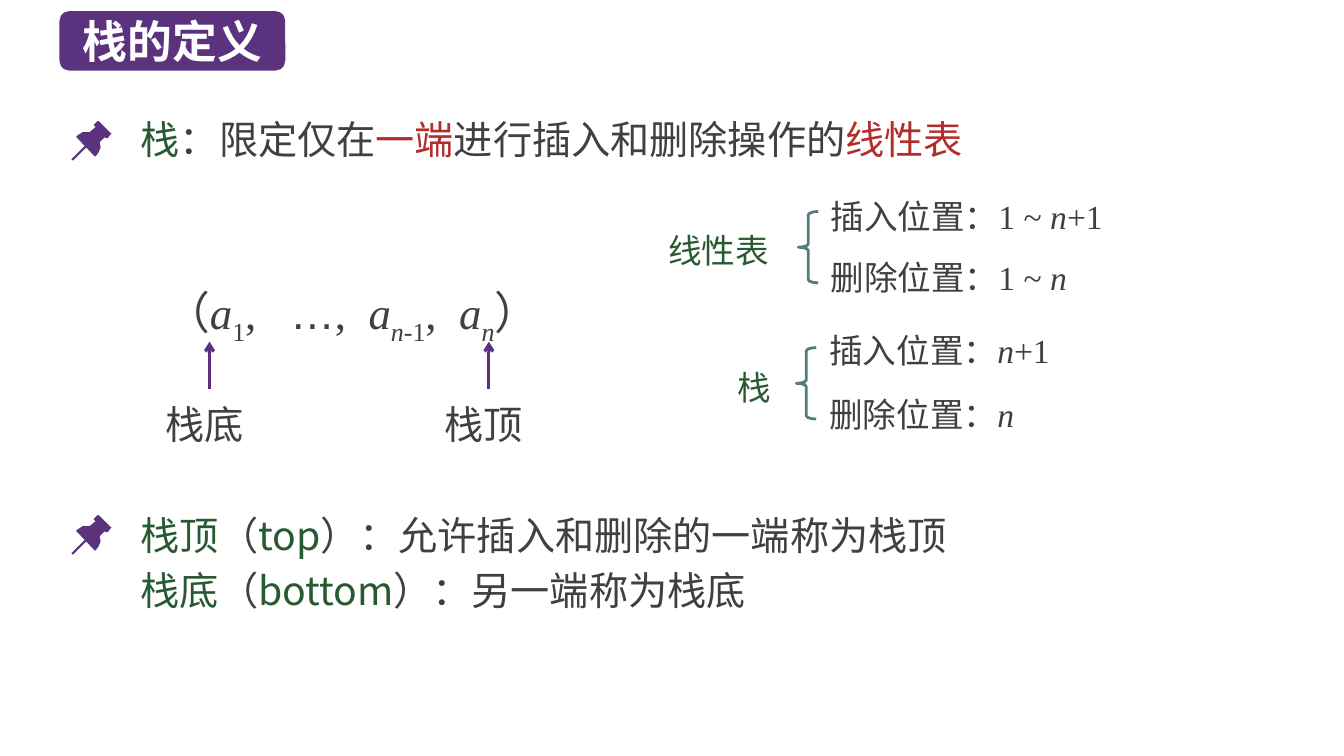
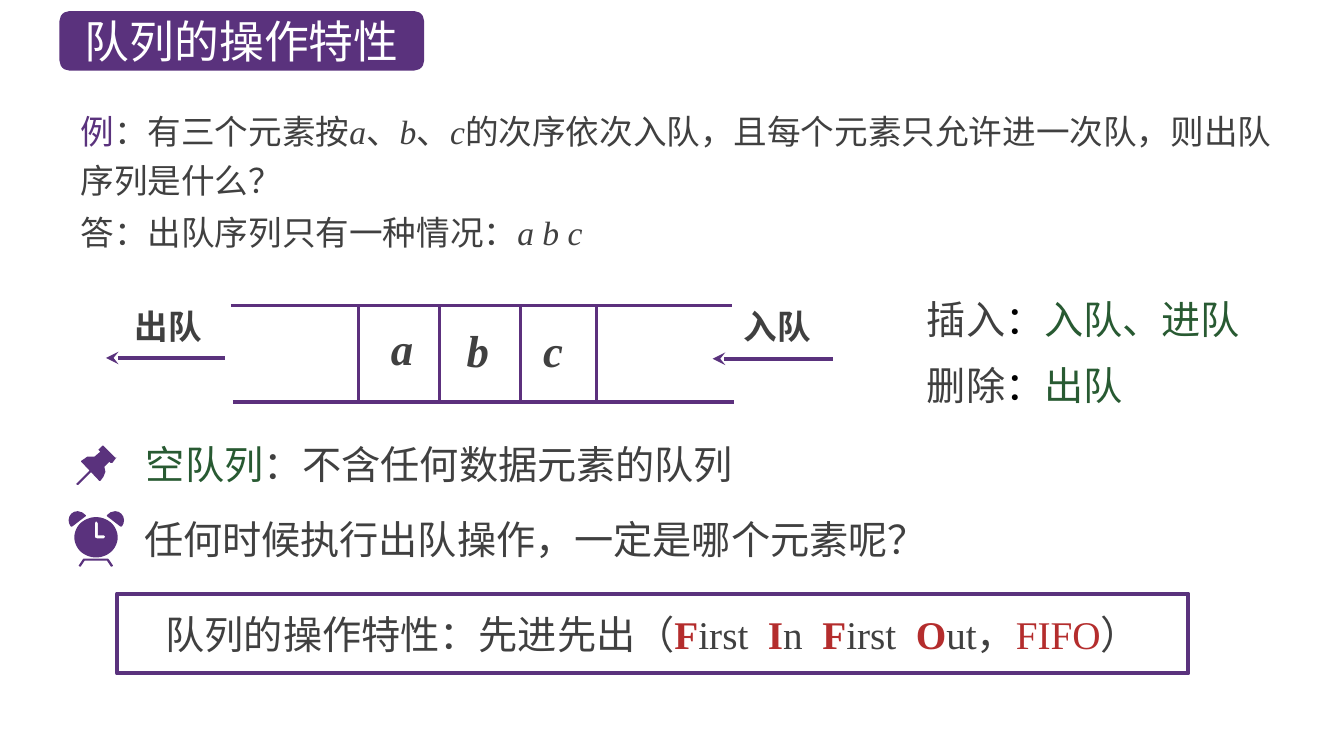
import math
from dataclasses import dataclass
from typing import NamedTuple, Optional

import pptx
import pptx.dml.color
import pptx.enum.shapes
import pptx.enum.text
import pptx.oxml
import pptx.oxml.ns
import pptx.presentation
import pptx.slide
import pptx.util
from lxml import etree

Cm = pptx.util.Cm
Pt = pptx.util.Pt
Shape = pptx.enum.shapes.MSO_SHAPE
Align = pptx.enum.text.PP_ALIGN
Anchor = pptx.enum.text.MSO_ANCHOR
qn = pptx.oxml.ns.qn

COLORS = {
    "purple": "5A327D",
    "line": "5C307D",
    "green": "285A32",
    "red": "B42D2D",
    "teal": "507D7D",
    "ink": "404040",
    "black": "000000",
    "white": "FFFFFF",
}
SANS = "Noto Sans CJK SC"
SERIF = "Times New Roman"
OUTLINE_UNIT = Cm(0.0254) / 10

PIN_HEAD = [(39, 12), (27, 0), (26, 0), (22, 4), (24, 6), (18, 11), (15, 11), (11, 11), (8, 13),
            (5, 15), (5, 16), (23, 35), (24, 35), (27, 31), (29, 26), (28, 21), (33, 16),
            (34, 17), (36, 17), (39, 13), (40, 12)]
PIN_NEEDLE = [(2, 39), (1, 39), (0, 38), (1, 37), (14, 24), (15, 23), (16, 25), (15, 26)]
CLOCK_WIDTH = 55
CLOCK_BELL = [(9, 0), (5.5, 0.7), (2.6, 2.6), (0.7, 5.5), (0, 9), (0.5, 12), (2, 15), (3, 15.4),
              (4, 15), (17, 5), (17, 4), (13.5, 1.2)]
CLOCK_FEET = [(44, 54), (40, 48), (39, 47), (15, 47), (14, 48), (10, 54), (11, 55), (12, 55),
              (16, 49), (38, 49), (42, 55), (43, 55)]
CLOCK_FACE = [(27.2 + 21.5 * math.cos(math.radians(a)), 26 + 20 * math.sin(math.radians(a)))
              for a in range(0, 360, 6)]
CLOCK_HANDS = [(35, 27), (28, 27), (26, 26), (26, 12), (27, 10.5), (28, 10.5), (29, 12),
               (29, 24), (35, 24), (36.5, 25.5)]


class Box(NamedTuple):
    left: float
    top: float
    width: float
    height: float


class Span(NamedTuple):
    text: str
    color: Optional[str] = None
    italic: bool = False
    bold: bool = False
    sub: bool = False
    font: Optional[str] = None


@dataclass(frozen=True)
class Style:
    size: float = 28
    font: str = SANS
    color: str = "ink"
    bold: bool = False
    italic: bool = False
    align: Optional[Align] = None
    line_spacing: Optional[float] = None
    space_before: float = 0


@dataclass(frozen=True)
class Positions:
    name: str
    name_box: Box
    brace: Box
    rows: tuple[tuple[Box, list[Span]], ...]


@dataclass(frozen=True)
class Pointer:
    label: str
    label_box: Box
    start: tuple[float, float]
    end: tuple[float, float]


BODY = Style(space_before=5.6)
SERIF_24 = Style(24, SERIF)
SERIF_28 = Style(28, SERIF)
TITLE = Style(32, color="white", align=Align.CENTER)


def rgb(name: str) -> pptx.dml.color.RGBColor:
    return pptx.dml.color.RGBColor.from_string(COLORS[name])


def place(box: Box) -> tuple:
    return tuple(Cm(length) for length in box)


def write(frame, paragraphs: list[list[Span]], style: Style) -> None:
    frame.word_wrap = True
    for index, spans in enumerate(paragraphs):
        paragraph = frame.paragraphs[0] if index == 0 else frame.add_paragraph()
        paragraph.alignment = style.align or Align.LEFT
        if style.line_spacing:
            paragraph.line_spacing = Pt(style.line_spacing)
        if index:
            paragraph.space_before = Pt(style.space_before)
        font = paragraph.font
        font.size, font.name = Pt(style.size), style.font
        font.bold, font.italic = style.bold, style.italic
        font.color.rgb = rgb(style.color)
        defaults = paragraph._p.find(qn("a:pPr")).find(qn("a:defRPr"))
        etree.SubElement(defaults, qn("a:ea")).set("typeface", SANS)
        for span in spans:
            run = paragraph.add_run()
            run.text = span.text
            if span.color:
                run.font.color.rgb = rgb(span.color)
            if span.italic:
                run.font.italic = True
            if span.bold:
                run.font.bold = True
            if span.font:
                run.font.name = span.font
            if span.sub:
                run._r.get_or_add_rPr().set("baseline", "-25000")


def add_text(slide: pptx.slide.Slide, box: Box, style: Style, *paragraphs: list[Span]):
    frame = slide.shapes.add_textbox(*place(box)).text_frame
    write(frame, list(paragraphs), style)
    frame.auto_size = pptx.enum.text.MSO_AUTO_SIZE.SHAPE_TO_FIT_TEXT
    return frame


def add_shape(slide: pptx.slide.Slide, kind: Shape, box: Box, fill: Optional[str] = None,
              line: Optional[str] = None, width: float = 1):
    shape = slide.shapes.add_shape(kind, *place(box))
    paint(shape, fill, line, width)
    return shape


def paint(shape, fill: Optional[str], line: Optional[str] = None, width: float = 1) -> None:
    shape.shadow.inherit = False
    if fill:
        shape.fill.solid()
        shape.fill.fore_color.rgb = rgb(fill)
    else:
        shape.fill.background()
    if line:
        shape.line.color.rgb = rgb(line)
        shape.line.width = Pt(width)
    else:
        shape.line.fill.background()


def add_line(slide: pptx.slide.Slide, start: tuple[float, float], end: tuple[float, float],
             color: str = "line", width: float = 2.25, arrow: Optional[str] = None) -> None:
    line = slide.shapes.add_connector(pptx.enum.shapes.MSO_CONNECTOR.STRAIGHT,
                                      *map(Cm, start), *map(Cm, end))
    line.line.color.rgb = rgb(color)
    line.line.width = Pt(width)
    if arrow:
        etree.SubElement(line.line._get_or_add_ln(), qn("a:tailEnd")).set("type", arrow)
    etree.SubElement(line._element.spPr, qn("a:effectLst"))


def add_outline(slide: pptx.slide.Slide, left: float, top: float, *contours: list) -> None:
    scaled = [[(x * 10, y * 10) for x, y in contour] for contour in contours]
    builder = slide.shapes.build_freeform(*scaled[0][0], scale=OUTLINE_UNIT)
    builder.add_line_segments(scaled[0][1:], close=True)
    for contour in scaled[1:]:
        builder.move_to(*contour[0])
        builder.add_line_segments(contour[1:], close=True)
    paint(builder.convert_to_shape(Cm(left), Cm(top)), "purple")


def add_pin(slide: pptx.slide.Slide, left: float, top: float) -> None:
    for part in (PIN_HEAD, PIN_NEEDLE):
        add_outline(slide, left, top, part)


def add_clock(slide: pptx.slide.Slide, left: float, top: float) -> None:
    right_bell = [(CLOCK_WIDTH - x, y) for x, y in CLOCK_BELL]
    for part in (CLOCK_FEET, CLOCK_BELL, right_bell):
        add_outline(slide, left, top, part)
    add_outline(slide, left, top, CLOCK_FACE, CLOCK_HANDS[::-1])


def add_pointer(slide: pptx.slide.Slide, pointer: Pointer, style: Style, color: str,
                width: float, arrow: str) -> None:
    add_line(slide, pointer.start, pointer.end, color, width, arrow)
    add_text(slide, pointer.label_box, style, [Span(pointer.label)])


def add_positions(slide: pptx.slide.Slide, positions: Positions) -> None:
    add_text(slide, positions.name_box, Style(24, SERIF, "green"), [Span(positions.name)])
    brace = add_shape(slide, Shape.LEFT_BRACE, positions.brace, line="teal", width=2)
    brace.adjustments[0] = 0.168
    for box, spans in positions.rows:
        add_text(slide, box, SERIF_24, spans)


def add_titled_slide(deck: pptx.presentation.Presentation, title: str, width: float,
                     bold: bool = False) -> pptx.slide.Slide:
    slide = deck.slides.add_slide(deck.slide_layouts[6])
    band = add_shape(slide, Shape.ROUNDED_RECTANGLE, Box(1.5, 0.28, width, 1.5), "purple")
    band.text_frame.vertical_anchor = Anchor.MIDDLE
    write(band.text_frame, [[Span(title, bold=bold)]], TITLE)
    return slide


def build_stack(deck: pptx.presentation.Presentation) -> None:
    slide = add_titled_slide(deck, "栈的定义", 5.69, bold=True)
    add_pin(slide, 1.8, 3.05)
    add_text(slide, Box(3.3, 2.77, 25.43, 1.45), BODY,
             [Span("栈", "green"), Span("：限定仅在"), Span("一端", "red"),
              Span("进行插入和删除操作的"), Span("线性表", "red")])

    n = Span("n", italic=True)
    a = Span("a", italic=True)
    n_sub = Span("n", italic=True, sub=True)
    add_text(slide, Box(3.91, 7.06, 10.49, 1.63), Style(32, SERIF),
             [Span("（"), a, Span("1", sub=True), Span(",   "), Span("…", font="Arial"),
              Span(",  "), a, n_sub, Span("-1", sub=True), Span(",  "), a, n_sub, Span("）")])
    for label, left, tip in (("栈底", 3.91, 5.28), ("栈顶", 10.95, 12.32)):
        pointer = Pointer(label, Box(left, 9.96, 2.74, 1.45), (tip, 9.8), (tip, 8.61))
        add_pointer(slide, pointer, SERIF_28, "line", 2.25, "arrow")

    add_positions(slide, Positions(
        "线性表", Box(16.59, 5.66, 3.61, 1.27), Box(20.12, 5.33, 0.5, 1.8),
        ((Box(20.68, 4.8, 9.04, 1.27), [Span("插入位置：1 ~ "), n, Span("+1")]),
         (Box(20.68, 6.35, 8.03, 1.27), [Span("删除位置：1 ~ "), n]))))
    add_positions(slide, Positions(
        "栈", Box(18.34, 9.12, 1.83, 1.27), Box(20.07, 8.76, 0.5, 1.8),
        ((Box(20.65, 8.18, 9.04, 1.27), [Span("插入位置："), n, Span("+1")]),
         (Box(20.65, 9.8, 8.03, 1.27), [Span("删除位置："), n]))))

    add_pin(slide, 1.8, 12.98)
    terms = (("栈顶", "top", "允许插入和删除的一端称为栈顶"), ("栈底", "bottom", "另一端称为栈底"))
    add_text(slide, Box(3.3, 12.75, 28.7, 2.9), BODY,
             *([Span(term, "green"), Span("（"), Span(english, "green"), Span("）：" + meaning)]
               for term, english, meaning in terms))


def build_queue(deck: pptx.presentation.Presentation) -> None:
    slide = add_titled_slide(deck, "队列的操作特性", 9.19)
    a, b, c = (Span(letter, italic=True) for letter in "abc")
    add_text(slide, Box(1.78, 2.44, 30.76, 2.74), Style(24, SERIF, line_spacing=35),
             [Span("例", "purple"), Span("：有三个元素按"), a, Span("、"), b, Span("、"), c,
              Span("的次序依次入队，且每个元素只允许进一次队，则出队序列是什么？")])
    add_text(slide, Box(1.78, 5.21, 19.63, 1.27), SERIF_24,
             [Span("答：出队序列只有一种情况："), Span("a b c", italic=True)])

    top, bottom = 7.7, 10.13
    add_line(slide, (5.82, top), (18.44, top))
    add_line(slide, (5.87, bottom), (18.49, bottom))
    for divider in (9.04, 11.07, 13.11, 15.04):
        add_line(slide, (divider, bottom), (divider, top))
    for letter, left, letter_top in ((a, 9.6, 7.95), (b, 11.51, 8), (c, 13.44, 8)):
        add_text(slide, Box(left, letter_top, 1.63, 1.63), Style(32, SERIF, bold=True), [letter])
    for pointer in (Pointer("入队", Box(18.49, 7.59, 2.62, 1.27), (20.98, 9.04), (17.96, 9.04)),
                    Pointer("出队", Box(3.15, 7.59, 2.62, 1.27), (5.66, 9.02), (2.67, 9.02))):
        add_pointer(slide, pointer, Style(24, SERIF, bold=True), "purple", 3, "stealth")
    for row_top, operation, names in ((7.32, "插入", "入队、进队"), (8.99, "删除", "出队")):
        add_text(slide, Box(23.11, row_top, 9.63, 1.45), BODY,
                 [Span(operation), Span("：", "black"), Span(names, "green")])

    add_pin(slide, 1.92, 11.23)
    add_text(slide, Box(3.43, 10.97, 22.58, 1.45), BODY,
             [Span("空队列", "green"), Span("：不含任何数据元素的队列")])
    add_clock(slide, 1.73, 12.88)
    question = add_text(slide, Box(3.38, 12.75, 21.41, 1.8), BODY,
                        [Span("任何时候执行出队操作，一定是哪个元素呢？")])
    question.auto_size = pptx.enum.text.MSO_AUTO_SIZE.NONE
    question.vertical_anchor = Anchor.MIDDLE
    question.margin_top, question.margin_bottom = Cm(0), Cm(0.13)

    summary = add_shape(slide, Shape.RECTANGLE, Box(2.95, 14.96, 27, 2.01),
                        line="purple", width=3).text_frame
    summary.vertical_anchor = Anchor.MIDDLE
    summary.margin_top = summary.margin_bottom = Cm(0)
    words = [span for initial, rest in (("F", "irst  "), ("I", "n  "), ("F", "irst  "), ("O", "ut，"))
             for span in (Span(initial, "red", bold=True), Span(rest))]
    write(summary, [[Span("队列的操作特性：先进先出（"), *words, Span("FIFO", "red"), Span("）")]],
          Style(28, SERIF, align=Align.CENTER))


def main() -> None:
    deck = pptx.Presentation()
    deck.slide_width, deck.slide_height = Cm(33.87), Cm(19.05)
    build_stack(deck)
    build_queue(deck)
    deck.save("out.pptx")


if __name__ == "__main__":
    main()
